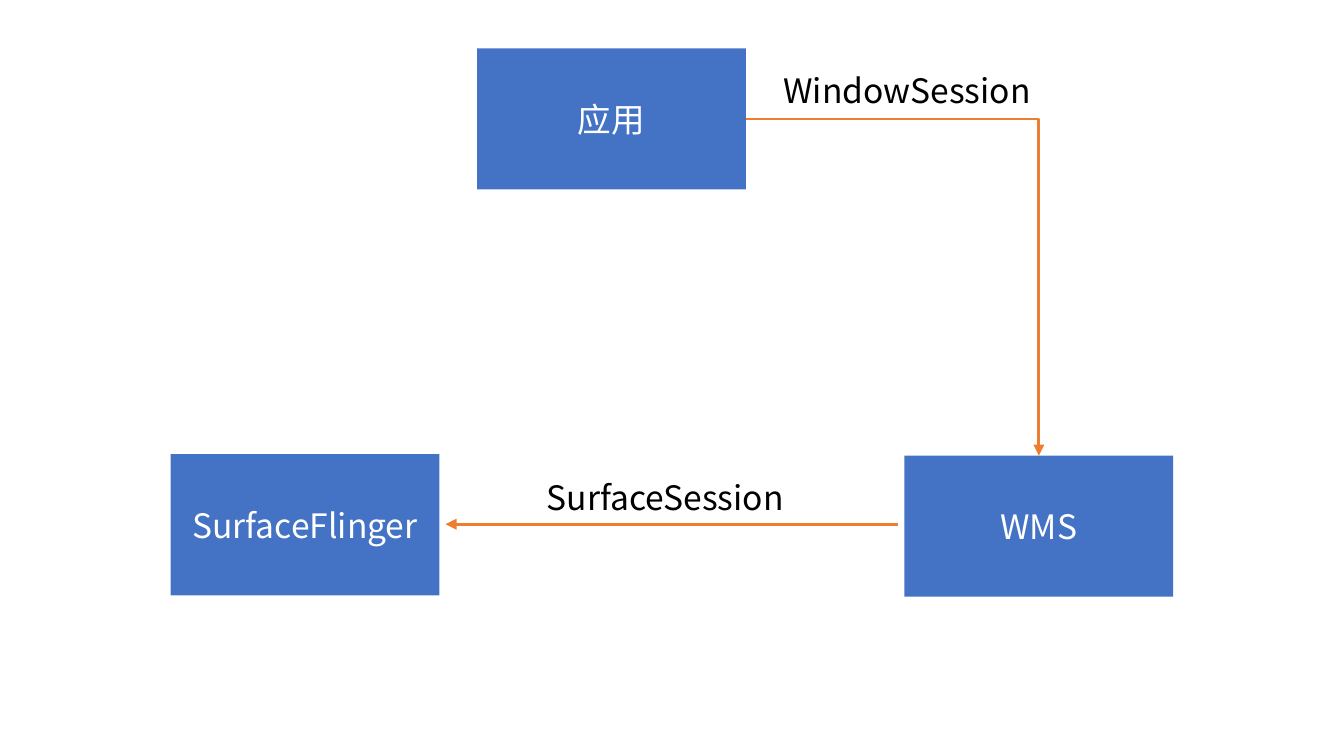
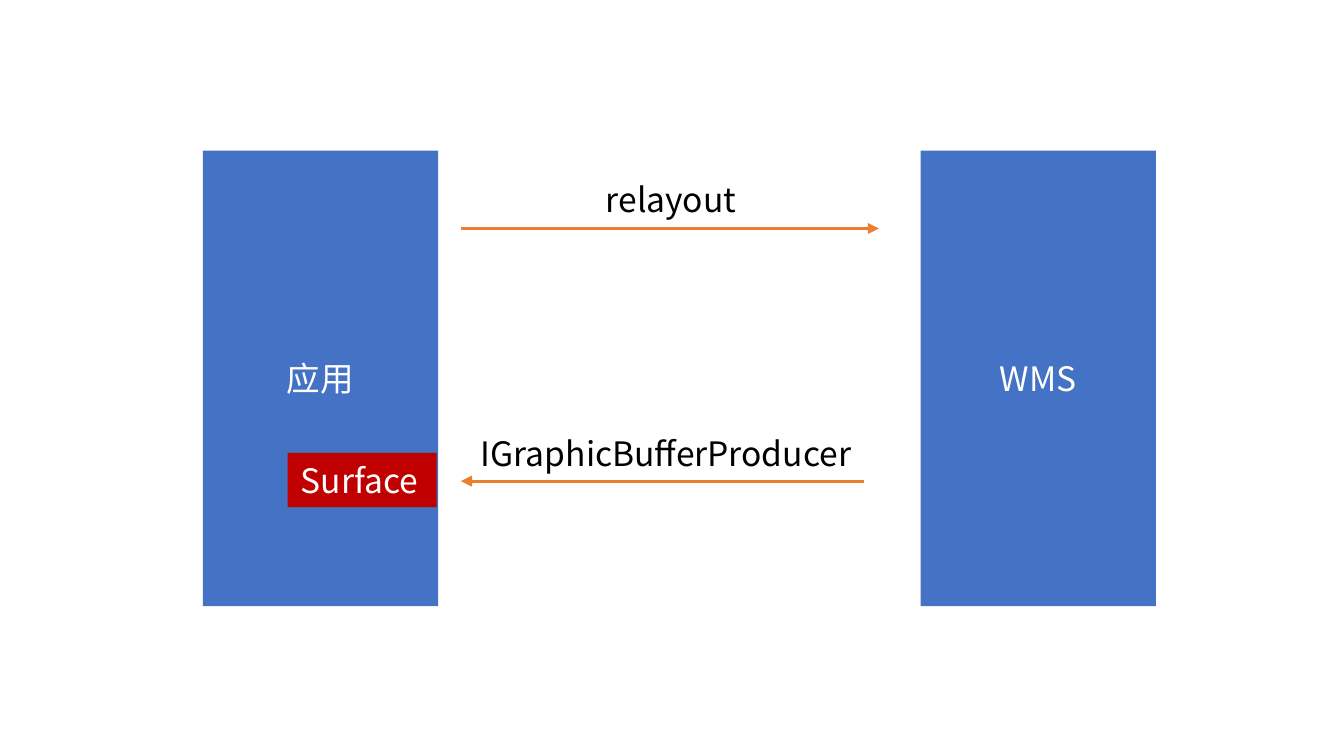
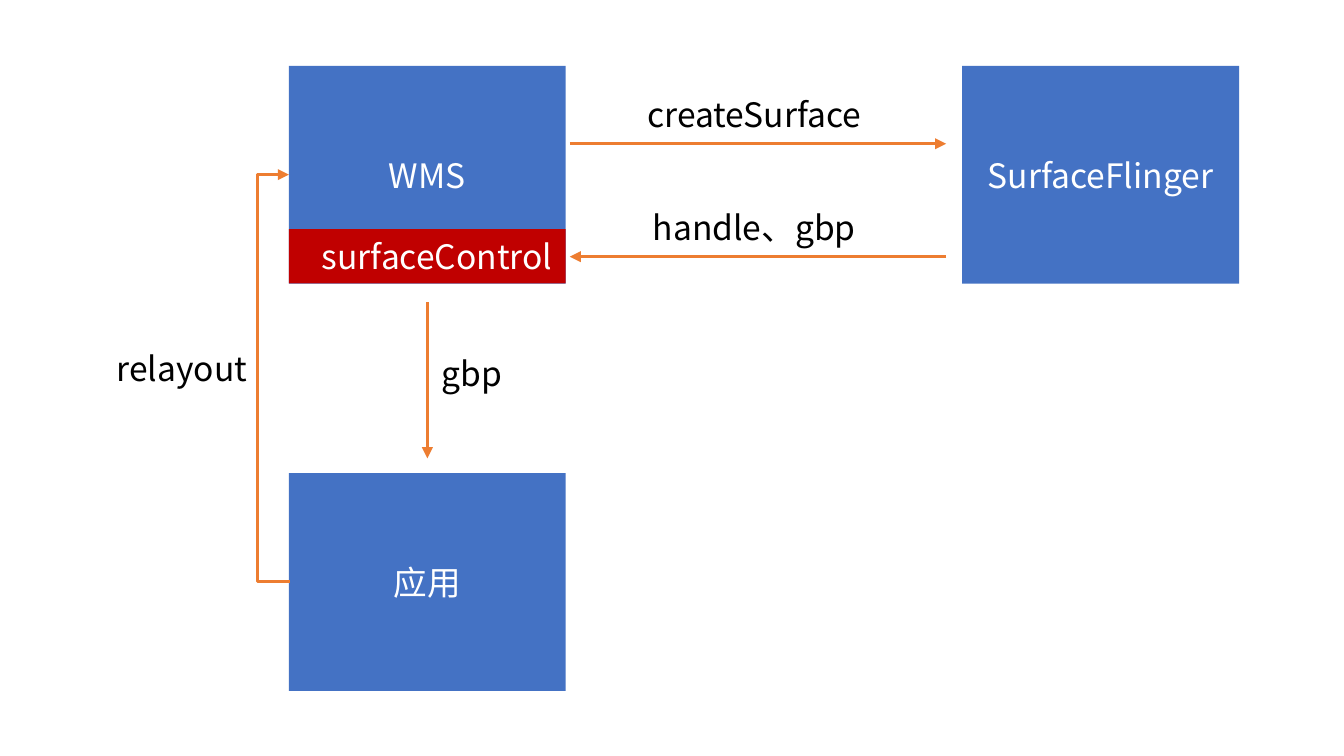
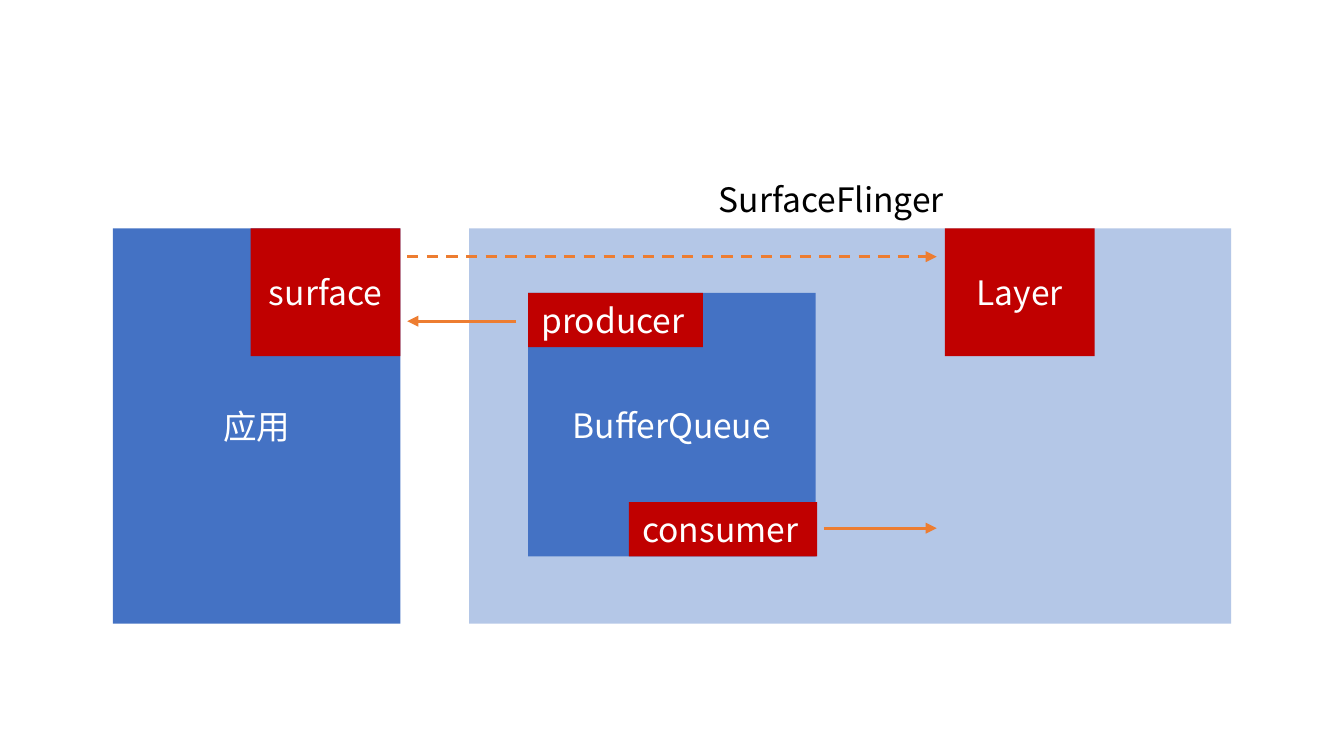
from dataclasses import dataclass
from typing import Optional, Union

import pptx
import pptx.dml.color
import pptx.enum.dml
import pptx.enum.shapes
import pptx.enum.text
import pptx.oxml
import pptx.oxml.ns
import pptx.shapes.autoshape
import pptx.shapes.connector
import pptx.slide
import pptx.util

BLUE = pptx.dml.color.RGBColor(0x44, 0x72, 0xC4)
PALE_BLUE = pptx.dml.color.RGBColor(0xB4, 0xC7, 0xE7)
RED = pptx.dml.color.RGBColor(0xC0, 0x00, 0x00)
ORANGE = pptx.dml.color.RGBColor(0xED, 0x7D, 0x31)
WHITE = pptx.dml.color.RGBColor(0xFF, 0xFF, 0xFF)
BLACK = pptx.dml.color.RGBColor(0x00, 0x00, 0x00)

FONT = "Noto Sans CJK SC"
TEXT_SIZE = pptx.util.Pt(18)
ARROW_WIDTH = pptx.util.Pt(1.5)
COLUMNS, ROWS = 100, 56.25
SLIDE_WIDTH, SLIDE_HEIGHT = pptx.util.Inches(10), pptx.util.Inches(5.625)
LINE_ROWS = 4.04

ALIGN = pptx.enum.text.PP_ALIGN
ANCHOR = pptx.enum.text.MSO_ANCHOR
FIT = pptx.enum.text.MSO_AUTO_SIZE


@dataclass(frozen=True)
class Node:
    text: str
    left: float
    top: float
    width: float
    height: float
    fill: pptx.dml.color.RGBColor = BLUE

    @property
    def right(self) -> float:
        return self.left + self.width

    @property
    def bottom(self) -> float:
        return self.top + self.height

    @property
    def center(self) -> float:
        return self.left + self.width / 2

    @property
    def middle(self) -> float:
        return self.top + self.height / 2


@dataclass(frozen=True)
class Tag:
    text: str
    left: float
    top: float
    width: float
    filled: bool = False
    wrap: bool = False
    align: ALIGN = ALIGN.LEFT


@dataclass(frozen=True)
class Arrow:
    start: tuple[float, float]
    end: tuple[float, float]
    dashed: bool = False
    bend: Optional[str] = None
    adjust: Optional[int] = None
    source: Optional[tuple[Node, int]] = None
    target: Optional[tuple[Node, int]] = None


Item = Union[Node, Tag, Arrow]
Drawn = dict[Node, pptx.shapes.autoshape.Shape]


def across(columns: float) -> int:
    return round(SLIDE_WIDTH * columns / COLUMNS)


def down(rows: float) -> int:
    return round(SLIDE_HEIGHT * rows / ROWS)


def write(frame: pptx.text.text.TextFrame, text: str,
          color: pptx.dml.color.RGBColor, align: ALIGN) -> None:
    frame.text = text
    paragraph = frame.paragraphs[0]
    paragraph.alignment = align
    for run in paragraph.runs:
        run.font.size = TEXT_SIZE
        run.font.name = FONT
        run.font.color.rgb = color
        east_asian = pptx.oxml.parse_xml(
            f'<a:ea {pptx.oxml.ns.nsdecls("a")} typeface="{FONT}"/>')
        run.font._element.find(pptx.oxml.ns.qn("a:latin")).addnext(east_asian)


def add_rectangle(slide: pptx.slide.Slide, left: float, top: float, width: float,
                  height: float, fill: pptx.dml.color.RGBColor) -> pptx.shapes.autoshape.Shape:
    rectangle = slide.shapes.add_shape(
        pptx.enum.shapes.MSO_SHAPE.RECTANGLE,
        across(left), down(top), across(width), down(height))
    rectangle.shadow.inherit = False
    rectangle.fill.solid()
    rectangle.fill.fore_color.rgb = fill
    rectangle.line.fill.background()
    return rectangle


def draw_node(slide: pptx.slide.Slide, node: Node) -> pptx.shapes.autoshape.Shape:
    rectangle = add_rectangle(
        slide, node.left, node.top, node.width, node.height, node.fill)
    if node.text:
        rectangle.text_frame.vertical_anchor = ANCHOR.MIDDLE
        write(rectangle.text_frame, node.text, WHITE, ALIGN.CENTER)
    return rectangle


def draw_tag(slide: pptx.slide.Slide, tag: Tag) -> None:
    if tag.filled:
        holder = add_rectangle(slide, tag.left, tag.top, tag.width, LINE_ROWS, RED)
    else:
        holder = slide.shapes.add_textbox(
            across(tag.left), down(tag.top), across(tag.width), down(LINE_ROWS))
    frame = holder.text_frame
    frame.word_wrap = tag.wrap
    frame.auto_size = FIT.SHAPE_TO_FIT_TEXT
    frame.vertical_anchor = ANCHOR.TOP
    write(frame, tag.text, WHITE if tag.filled else BLACK, tag.align)


def draw_arrow(slide: pptx.slide.Slide, arrow: Arrow, drawn: Drawn) -> None:
    kinds = pptx.enum.shapes.MSO_CONNECTOR
    connector = slide.shapes.add_connector(
        kinds.ELBOW if arrow.bend else kinds.STRAIGHT,
        across(arrow.start[0]), down(arrow.start[1]),
        across(arrow.end[0]), down(arrow.end[1]))
    if arrow.source:
        connector.begin_connect(drawn[arrow.source[0]], arrow.source[1])
    if arrow.target:
        connector.end_connect(drawn[arrow.target[0]], arrow.target[1])
    connector.line.color.rgb = ORANGE
    connector.line.width = ARROW_WIDTH
    if arrow.dashed:
        connector.line.dash_style = pptx.enum.dml.MSO_LINE.DASH
    namespace = pptx.oxml.ns.nsdecls("a")
    properties = connector._element.spPr
    if arrow.bend:
        guide = (f'<a:gd name="adj1" fmla="val {arrow.adjust}"/>'
                 if arrow.adjust is not None else "")
        geometry = properties.find(pptx.oxml.ns.qn("a:prstGeom"))
        properties.replace(geometry, pptx.oxml.parse_xml(
            f'<a:prstGeom {namespace} prst="{arrow.bend}">'
            f'<a:avLst>{guide}</a:avLst></a:prstGeom>'))
    connector.line._get_or_add_ln().append(
        pptx.oxml.parse_xml(f'<a:tailEnd {namespace} type="triangle"/>'))
    properties.append(pptx.oxml.parse_xml(f'<a:effectLst {namespace}/>'))


def session_flow() -> list[Item]:
    size = (20, 10.5)
    app = Node("应用", 35.5, 3.6, *size)
    wms = Node("WMS", 67.3, 33.9, *size)
    flinger = Node("SurfaceFlinger", 12.7, 33.8, *size)
    gap = 0.45
    return [
        app, wms, flinger,
        Tag("WindowSession", 57.3, 4.7, 21.1),
        Arrow((wms.left - gap, 39), (flinger.right + gap, 39)),
        Tag("SurfaceSession", 39.7, 35, 20.1),
        Arrow((app.right, app.middle), (wms.center, wms.top),
              bend="bentConnector2", source=(app, 3), target=(wms, 0)),
    ]


def relayout_flow() -> list[Item]:
    size = (17.5, 33.9)
    app = Node("应用", 15.1, 11.2, *size)
    wms = Node("WMS", 68.5, app.top, *size)
    near_app = app.right + 1.7
    return [
        app, wms,
        Arrow((near_app, 17), (65.4, 17)),
        Tag("relayout", 44.1, 12.8, 11.9),
        Arrow((64.3, 35.8), (near_app, 35.8)),
        Tag("IGraphicBufferProducer", 34.8, 31.7, 30.3),
        Tag("Surface", 21.4, 33.7, 11.1, filled=True),
    ]


def surface_creation() -> list[Item]:
    size = (20.6, 16.2)
    wms = Node("WMS", 21.5, 4.9, *size)
    flinger = Node("SurfaceFlinger", 71.6, wms.top, *size)
    app = Node("应用", wms.left, 35.2, *size)
    near_wms, near_flinger = wms.right + 0.3, flinger.left - 1.2
    return [
        wms, flinger,
        Arrow((near_wms, 10.7), (near_flinger, 10.7)),
        Tag("createSurface", 47.2, 6.5, 18.4),
        Arrow((near_flinger, 19.1), (near_wms, 19.1)),
        Tag("handle、gbp", 47.6, 14.9, 17.6, wrap=True),
        Tag("surfaceControl", wms.left, wms.bottom - LINE_ROWS, wms.width,
            filled=True, wrap=True, align=ALIGN.RIGHT),
        app,
        Tag("relayout", 7.7, 25.4, 11.9),
        Arrow((app.left + 0.1, app.middle), (wms.left, wms.middle),
              bend="bentConnector3", adjust=2500000),
        Arrow((wms.center, 22.5), (app.center, 34.1)),
        Tag("gbp", 31.9, 25.8, 6.9),
    ]


def buffer_queue() -> list[Item]:
    top, height = 17, 29.4
    app = Node("应用", 8.4, top, 21.4, height)
    flinger = Node("", 34.9, top, 56.7, height, PALE_BLUE)
    queue = Node("BufferQueue", 39.3, 21.8, app.width, 19.6)
    corner = (11.15, 9.5)
    surface = Node("surface", app.right - corner[0], top, *corner, RED)
    layer = Node("Layer", 70.3, top, *corner, RED)
    near_surface, near_layer = app.right + 0.5, layer.left - 0.6
    return [
        app, flinger, queue,
        Tag("producer", queue.left, queue.top, 13, filled=True),
        Tag("consumer", 46.8, queue.bottom - LINE_ROWS, 14, filled=True),
        Arrow((38.4, 23.9), (near_surface, 23.9)),
        Arrow((61.3, 39.3), (near_layer, 39.3)),
        surface,
        Arrow((near_surface, 19.1), (near_layer, 19.1), dashed=True),
        layer,
        Tag("SurfaceFlinger", 52.5, 12.8, 19.3),
    ]


def draw_scene(slide: pptx.slide.Slide, scene: list[Item]) -> None:
    drawn: Drawn = {}
    for item in scene:
        if isinstance(item, Node):
            drawn[item] = draw_node(slide, item)
        elif isinstance(item, Tag):
            draw_tag(slide, item)
        else:
            draw_arrow(slide, item, drawn)


def main() -> None:
    deck = pptx.Presentation()
    deck.slide_width, deck.slide_height = SLIDE_WIDTH, SLIDE_HEIGHT
    blank = deck.slide_layouts[6]
    for scene in (session_flow, relayout_flow, surface_creation, buffer_queue):
        draw_scene(deck.slides.add_slide(blank), scene())
    deck.save("out.pptx")


if __name__ == "__main__":
    main()
